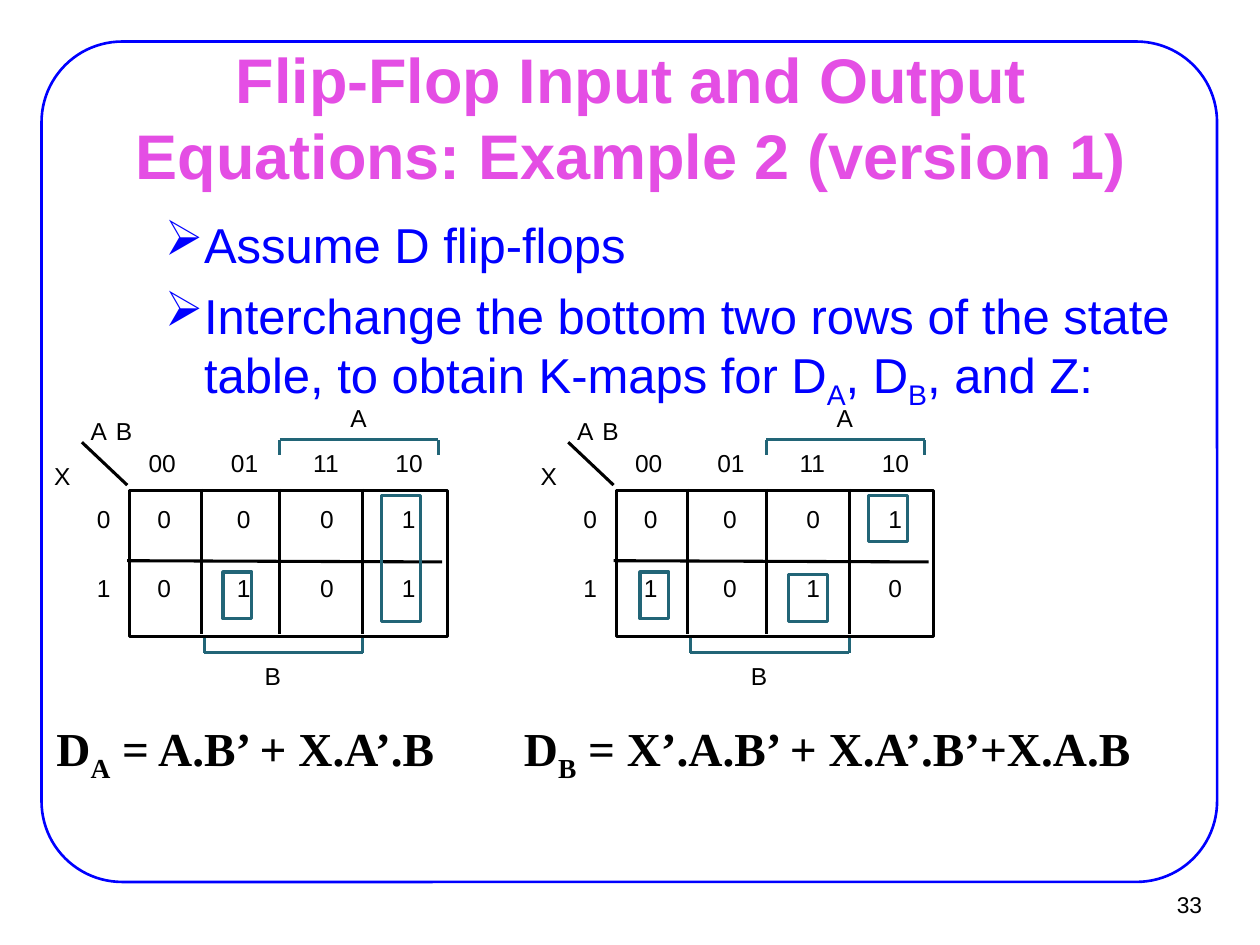
"""Build a slide with two Karnaugh maps and their flip-flop input equations."""
from lxml.etree import SubElement
from pptx import Presentation
from pptx.dml.color import RGBColor
from pptx.enum.shapes import MSO_CONNECTOR, MSO_SHAPE
from pptx.enum.text import MSO_ANCHOR, MSO_AUTO_SIZE, PP_ALIGN
from pptx.oxml.ns import qn
from pptx.util import Inches, Pt

BLACK = RGBColor(0x00, 0x00, 0x00)
BLUE = RGBColor(0x00, 0x00, 0xFF)
PINK = RGBColor(0xE4, 0x4E, 0xE4)
TEAL = RGBColor(0x22, 0x65, 0x77)

TITLE = "Flip-Flop Input and Output Equations: Example 2 (version 1)"
BULLETS = [
    ["Assume D flip-flops"],
    ["Interchange the bottom two rows of the state table, to obtain K-maps for D",
     "A", ", D", "B", ", and Z:"],
]
PAGE_NUMBER = "33"
COLUMN_CODES = ["00", "01", "11", "10"]
ROW_CODES = ["0", "1"]
MAPS = [
    {"offset": 0, "rows": ["0001", "0101"],
     "loops": [(3.03, 3.93, 0.31, 1), (1.77, 4.54, 0.23, 0.37)],
     "equation": ["D", "A", " = A.B’ + X.A’.B"], "equation_box": (0.35, 5.66, 3.7, 0.61)},
    {"offset": 3.86, "rows": ["0001", "1010"],
     "loops": [(3.03, 3.93, 0.31, 0.37), (1.22, 4.54, 0.23, 0.37), (2.4, 4.56, 0.31, 0.37)],
     "equation": ["D", "B", " = X’.A.B’ + X.A’.B’+X.A.B"], "equation_box": (4.06, 5.66, 5.79, 0.61)},
]
AXIS_LABELS = [("A", 0.72, 3.3), ("B", 0.92, 3.3), ("A", 2.78, 3.2), ("B", 2.1, 5.25), ("X", 0.43, 3.66)]
GRID_LINES = [(1.01, 4.45, 3.51, 4.46), (1.01, 3.85, 0.65, 3.51)] + [
    (x, 3.88, x, 5.03) for x in (1.6, 2.22, 2.88)]
BRACKETS = [(1.62, 2.88, 5.06, 5.18), (2.22, 3.48, 3.61, 3.49)]
CELL_LEFTS = [1.25, 1.88, 2.54, 3.19]
ROW_TOPS = [4, 4.55]


def add_text(slide, paragraphs, box, size=14, color=BLACK, font="Arial", bold=False,
             align=PP_ALIGN.LEFT, anchor=MSO_ANCHOR.TOP, margins=(0, 0),
             wrap=False, grow=False, bullet=None, space_before=0):
    """Add paragraphs whose every second run is a subscript."""
    frame = slide.shapes.add_textbox(*map(Inches, box)).text_frame
    frame.word_wrap = wrap
    frame.auto_size = MSO_AUTO_SIZE.SHAPE_TO_FIT_TEXT if grow else MSO_AUTO_SIZE.NONE
    frame.vertical_anchor = anchor
    frame.margin_left = frame.margin_right = Inches(margins[0])
    frame.margin_top = frame.margin_bottom = Inches(margins[1])
    for index, pieces in enumerate(paragraphs):
        paragraph = frame.add_paragraph() if index else frame.paragraphs[0]
        paragraph.alignment = align
        if index:
            paragraph.space_before = Pt(space_before)
        if bullet:
            properties = paragraph._p.get_or_add_pPr()
            properties.set("marL", str(Inches(0.81)))
            properties.set("indent", str(Inches(-0.31)))
            bullet_color = SubElement(properties, qn("a:buClr"))
            SubElement(bullet_color, qn("a:srgbClr"), val=str(color))
            SubElement(properties, qn("a:buChar"), char=bullet)
        for position, text in enumerate(pieces):
            run = paragraph.add_run()
            run.text = text
            run.font.size = Pt(size)
            run.font.name = font
            run.font.bold = bold
            run.font.color.rgb = color
            if position % 2:
                run._r.get_or_add_rPr().set("baseline", "-25000")


def add_outline(slide, kind, box, color, width=1.75):
    """Add an unfilled shape."""
    shape = slide.shapes.add_shape(kind, *map(Inches, box))
    shape.shadow.inherit = False
    shape.fill.background()
    shape.line.color.rgb = color
    shape.line.width = Pt(width)
    return shape


def add_line(slide, ends, offset, color):
    """Add a straight line moved right by the offset."""
    left, top, right, bottom = ends
    connector = slide.shapes.add_connector(
        MSO_CONNECTOR.STRAIGHT, Inches(left + offset), Inches(top),
        Inches(right + offset), Inches(bottom))
    connector.line.color.rgb = color
    connector.line.width = Pt(1.75)
    SubElement(connector._element.spPr, qn("a:effectLst"))


def add_map(slide, karnaugh):
    """Add one Karnaugh map with its labels, loops and equation."""
    offset = karnaugh["offset"]
    add_outline(slide, MSO_SHAPE.RECTANGLE, (1.03 + offset, 3.89, 2.52, 1.16), BLACK)
    for ends in GRID_LINES:
        add_line(slide, ends, offset, BLACK)
    for left, right, tip, spine in BRACKETS:
        for ends in [(left, tip, left, spine), (left, spine, right, spine), (right, tip, right, spine)]:
            add_line(slide, ends, offset, TEAL)
    for left, top, width, height in karnaugh["loops"]:
        add_outline(slide, MSO_SHAPE.RECTANGLE, (left + offset, top, width, height), TEAL)
    labels = list(AXIS_LABELS)
    labels += [(code, 1.18 + 0.653 * column, 3.56) for column, code in enumerate(COLUMN_CODES)]
    for code, values, top in zip(ROW_CODES, karnaugh["rows"], ROW_TOPS):
        labels.append((code, 0.77, top))
        labels += [(value, left, top) for value, left in zip(values, CELL_LEFTS)]
    for text, left, top in labels:
        width = 0.27 if len(text) > 1 else 0.19 if text.isalpha() else 0.16
        add_text(slide, [[text]], (left + offset, top, width, 0.23), grow=True)
    add_text(slide, [karnaugh["equation"]], karnaugh["equation_box"], size=27,
             font="Times New Roman", bold=True, margins=(0.1, 0.05), wrap=True, grow=True)


def main():
    """Assemble and save the slide."""
    presentation = Presentation()
    presentation.slide_width, presentation.slide_height = Inches(10), Inches(7.5)
    slide = presentation.slides.add_slide(presentation.slide_layouts[6])
    border = add_outline(slide, MSO_SHAPE.ROUNDED_RECTANGLE, (0.33, 0.33, 9.33, 6.67), BLUE, 1.5)
    border.adjustments[0] = 0.096
    add_text(slide, [[PAGE_NUMBER]], (9.02, 6.99, 0.61, 0.37), size=13, align=PP_ALIGN.RIGHT,
             anchor=MSO_ANCHOR.MIDDLE, margins=(0.09, 0.04))
    add_text(slide, [[TITLE]], (0.76, 0.68, 8.5, 0.49), size=36, color=PINK, bold=True,
             align=PP_ALIGN.CENTER, anchor=MSO_ANCHOR.MIDDLE, margins=(0.11, 0.06), wrap=True)
    for karnaugh in MAPS:
        add_map(slide, karnaugh)
    add_text(slide, BULLETS, (0.7, 1.64, 8.8, 1.95), size=28, color=BLUE, margins=(0.11, 0.06),
             wrap=True, bullet="➢", space_before=7)
    presentation.save("out.pptx")


if __name__ == "__main__":
    main()
